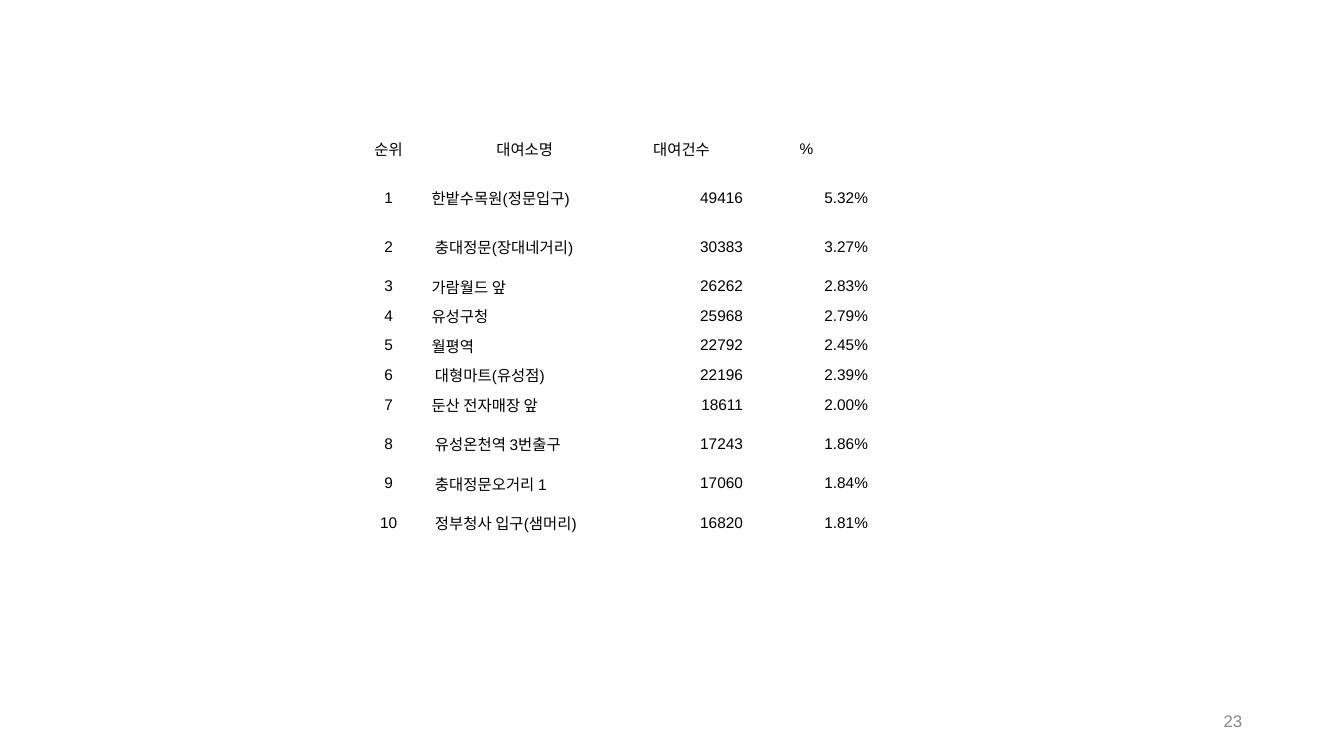
import pptx
import pptx.util
import pptx.dml.color
import pptx.enum.text

Inches, Pt = pptx.util.Inches, pptx.util.Pt
ALIGN = pptx.enum.text.PP_ALIGN
MIDDLE = pptx.enum.text.MSO_ANCHOR.MIDDLE
BLACK = pptx.dml.color.RGBColor(0x00, 0x00, 0x00)
GRAY = pptx.dml.color.RGBColor(0x88, 0x88, 0x88)

HEADER = ("순위", "대여소명", "대여건수", "%")
STATIONS = [
    ("한밭수목원(정문입구)", "49416", "5.32%"),
    (" 충대정문(장대네거리)", "30383", "3.27%"),
    ("가람월드 앞", "26262", "2.83%"),
    ("유성구청", "25968", "2.79%"),
    ("월평역", "22792", "2.45%"),
    (" 대형마트(유성점)", "22196", "2.39%"),
    ("둔산 전자매장 앞", "18611", "2.00%"),
    (" 유성온천역 3번출구", "17243", "1.86%"),
    (" 충대정문오거리 1", "17060", "1.84%"),
    (" 정부청사 입구(샘머리)", "16820", "1.81%"),
]
COLUMN_WIDTHS = (0.83, 1.87, 1.24, 1.24)
COLUMN_ALIGNS = (ALIGN.CENTER, ALIGN.LEFT, ALIGN.RIGHT, ALIGN.RIGHT)
TALL, SHORT = Pt(35), Pt(21.2)
TALL_ROWS = (0, 1, 2, 8, 10)


def format_text(p, size, color, align):
    """Style every run of a paragraph."""
    p.alignment = align
    for r in p.runs:
        r.font.name = "Arial"
        r.font.size = Pt(size)
        r.font.color.rgb = color


def add_ranking(s, left, top):
    """Place the rental station ranking table."""
    rows = [HEADER] + [(str(i), *row) for i, row in enumerate(STATIONS, 1)]
    heights = [TALL if i in TALL_ROWS else SHORT for i in range(len(rows))]
    frame = s.shapes.add_table(len(rows), len(HEADER), left, top,
                               Inches(sum(COLUMN_WIDTHS)), sum(heights))
    table = frame.table
    table.first_row = table.horz_banding = False
    for column, width in zip(table.columns, COLUMN_WIDTHS):
        column.width = Inches(width)
    for i, values in enumerate(rows):
        table.rows[i].height = heights[i]
        for j, value in enumerate(values):
            cell = table.cell(i, j)
            cell.fill.background()
            cell.vertical_anchor = MIDDLE
            cell.margin_left = cell.margin_right = cell.margin_top = Inches(0.01)
            cell.margin_bottom = 0
            cell.text_frame.text = value
            align = COLUMN_ALIGNS[j] if i else ALIGN.CENTER
            format_text(cell.text_frame.paragraphs[0], 11, BLACK, align)


def add_page_number(s, left, top, width, height):
    """Place the page number."""
    tf = s.shapes.add_textbox(left, top, width, height).text_frame
    tf.word_wrap = True
    tf.vertical_anchor = MIDDLE
    tf.text = "23"
    format_text(tf.paragraphs[0], 12, GRAY, ALIGN.RIGHT)


def main():
    """Build and save the slide."""
    prs = pptx.Presentation()
    prs.slide_width, prs.slide_height = Inches(13.33), Inches(7.5)
    s = prs.slides.add_slide(prs.slide_layouts[6])
    add_page_number(s, Inches(9.42), Inches(6.95), Inches(3), Inches(0.4))
    add_ranking(s, Inches(3.44), Inches(1.23))
    prs.save("out.pptx")


if __name__ == "__main__":
    main()
